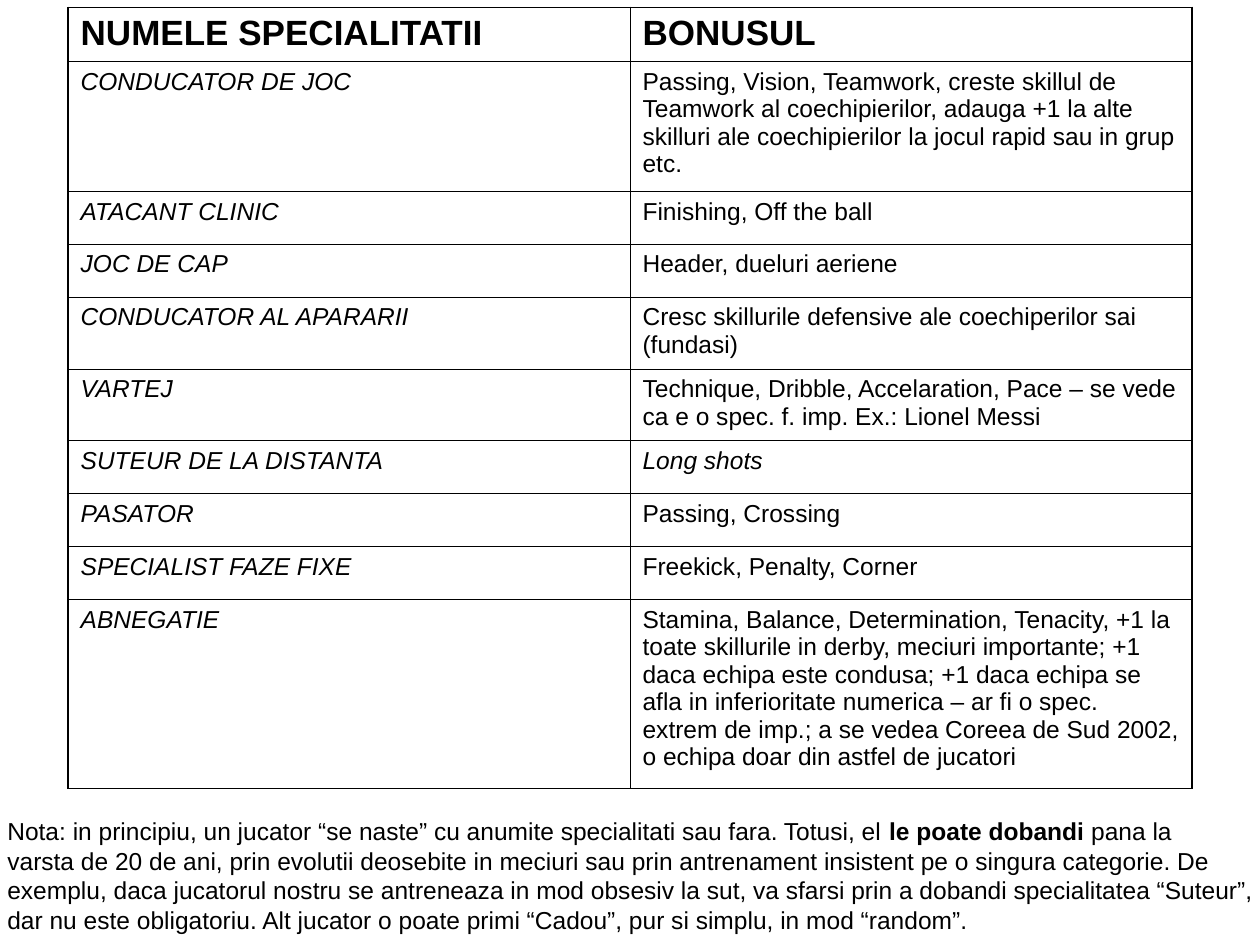
import pptx
import pptx.dml.color
import pptx.enum.text
import pptx.oxml
import pptx.oxml.ns
import pptx.util
from pptx.util import Inches

THEME = {
    "font": "Arial",
    "ink": "000000",
    "head_size": 20,
    "body_size": 14,
    "outer_line": 1.08,
    "inner_line": 0.45,
}

HEADER = ("NUMELE SPECIALITATII", "BONUSUL")
HEADER_HEIGHT = 0.43

# Speciality, bonus, row height
SPECIALITIES = [
    ("CONDUCATOR DE JOC",
     "Passing, Vision, Teamwork, creste skillul de Teamwork al coechipierilor, "
     "adauga +1 la alte skilluri ale coechipierilor la jocul rapid sau in grup etc.", 1.03),
    ("ATACANT CLINIC", "Finishing, Off the ball", 0.42),
    ("JOC DE CAP", "Header, dueluri aeriene", 0.42),
    ("CONDUCATOR AL APARARII",
     "Cresc skillurile defensive ale coechiperilor sai (fundasi)", 0.57),
    ("VARTEJ",
     "Technique, Dribble, Accelaration, Pace – se vede ca e o spec. f. imp. "
     "Ex.: Lionel Messi", 0.57),
    ("SUTEUR DE LA DISTANTA", "Long shots", 0.42),
    ("PASATOR", "Passing, Crossing", 0.42),
    ("SPECIALIST FAZE FIXE", "Freekick, Penalty, Corner", 0.42),
    ("ABNEGATIE",
     "Stamina, Balance, Determination, Tenacity, +1 la toate skillurile in derby, "
     "meciuri importante; +1 daca echipa este condusa; +1 daca echipa se afla in "
     "inferioritate numerica – ar fi o spec. extrem de imp.; a se vedea Coreea de "
     "Sud 2002, o echipa doar din astfel de jucatori", 1.5),
]
ITALIC_BONUSES = {"Long shots"}

# Each line is a list of (text, bold) runs
NOTE = [
    [("Nota: in principiu, un jucator “se naste” cu anumite specialitati sau fara. Totusi, el ", False),
     ("le poate dobandi ", True), ("pana la", False)],
    [("varsta de 20 de ani, prin evolutii deosebite in meciuri sau prin antrenament "
      "insistent pe o singura categorie. De", False)],
    [("exemplu, daca jucatorul nostru se antreneaza in mod obsesiv la sut, va sfarsi "
      "prin a dobandi specialitatea “Suteur”,", False)],
    [("dar nu este obligatoriu. Alt jucator o poate primi “Cadou”, pur si simplu, "
      "in mod “random”.", False)],
]


def style_run(r, size, bold=False, italic=False):
    r.font.name = THEME["font"]
    r.font.size = pptx.util.Pt(size)
    r.font.bold = bold
    r.font.italic = italic
    r.font.color.rgb = pptx.dml.color.RGBColor.from_string(THEME["ink"])


def set_borders(cell, outer):
    """Draw the four cell edges; those named in outer are heavier."""
    props = cell._tc.get_or_add_tcPr()
    for i, edge in enumerate("LRTB"):
        width = THEME["outer_line" if edge in outer else "inner_line"]
        props.insert(i, pptx.oxml.parse_xml(
            f'<a:ln{edge} {pptx.oxml.ns.nsdecls("a")} w="{pptx.util.Pt(width)}">'
            f'<a:solidFill><a:srgbClr val="{THEME["ink"]}"/></a:solidFill></a:ln{edge}>'))


def add_specialities(s):
    rows = [(*HEADER, HEADER_HEIGHT)] + SPECIALITIES
    total = sum(row[-1] for row in rows)
    table = s.shapes.add_table(len(rows), 2, Inches(0.54), Inches(0.06),
                               Inches(8.92), Inches(total)).table
    table.first_row = table.horz_banding = False
    for i, (name, bonus, height) in enumerate(rows):
        table.rows[i].height = Inches(height)
        is_head = i == 0
        for j, text in enumerate((name, bonus)):
            cell = table.cell(i, j)
            cell.fill.background()
            outer = "LR"[j] + "T" * is_head + "B" * (i == len(rows) - 1)
            set_borders(cell, outer)
            cell.text_frame.text = text
            italic = not is_head and (j == 0 or text in ITALIC_BONUSES)
            style_run(cell.text_frame.paragraphs[0].runs[0],
                      THEME["head_size" if is_head else "body_size"], is_head, italic)


def add_note(s):
    box = s.shapes.add_textbox(Inches(-0.04), Inches(6.43), Inches(10.09), Inches(1.04))
    tf = box.text_frame
    tf.word_wrap = True
    tf.margin_right = 0  # room for the longest line
    tf.auto_size = pptx.enum.text.MSO_AUTO_SIZE.SHAPE_TO_FIT_TEXT
    for i, line in enumerate(NOTE):
        p = tf.add_paragraph() if i else tf.paragraphs[0]
        for text, bold in line:
            r = p.add_run()
            r.text = text
            style_run(r, THEME["body_size"], bold)


def main():
    prs = pptx.Presentation()
    prs.slide_width, prs.slide_height = Inches(10), Inches(7.5)
    s = prs.slides.add_slide(prs.slide_layouts[6])  # blank layout
    add_specialities(s)
    add_note(s)
    prs.save("out.pptx")


if __name__ == "__main__":
    main()
